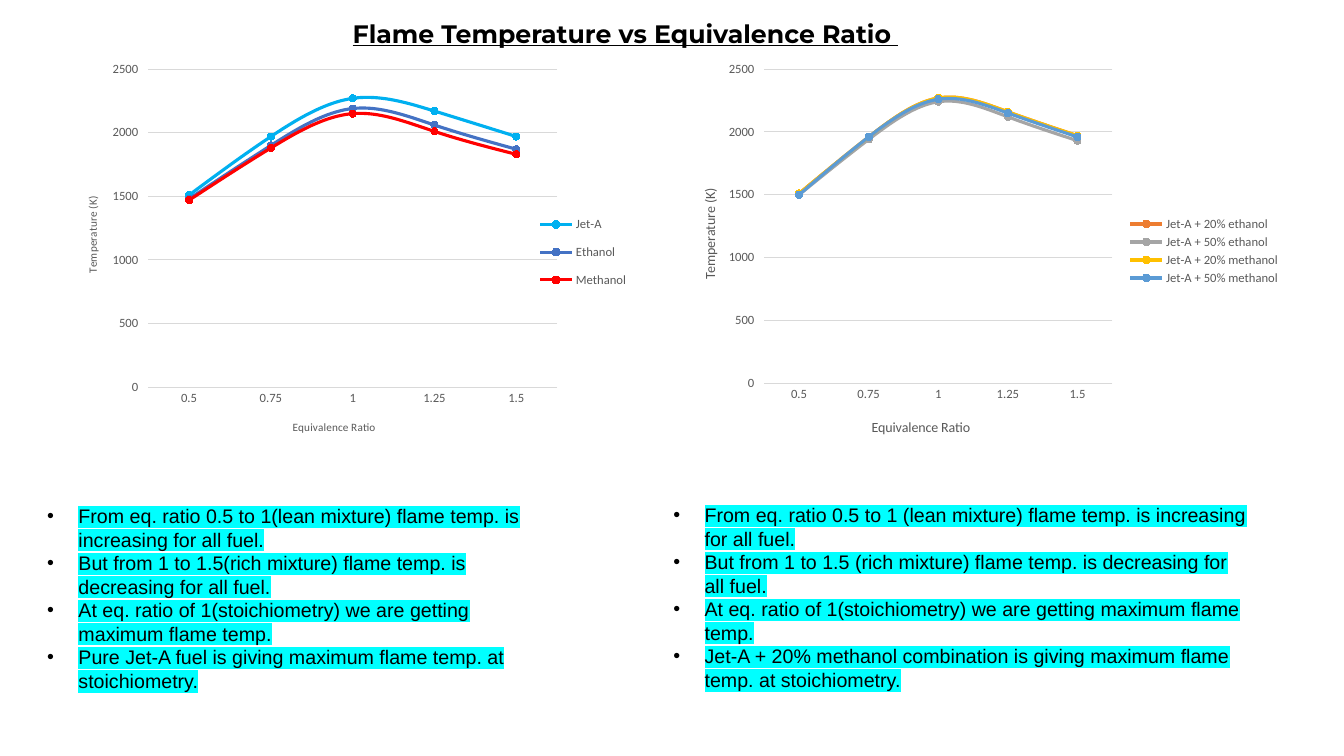
import pptx
import pptx.chart.data
import pptx.dml.color
import pptx.enum.chart
import pptx.enum.text
import pptx.oxml
import pptx.oxml.ns
import pptx.util
from lxml import etree

WIDTH, HEIGHT = 13.33, 7.5
TITLE = "Flame Temperature vs Equivalence Ratio "
TITLE_BOX = (3.4, 0.13, 6.37, 0.71)
RATIOS = ["0.5", "0.75", "1", "1.25", "1.5"]
CHART_TOP, CHART_WIDTH, CHART_HEIGHT = 0.54, 6.11, 3.94
GREY, PALE = "595959", "D9D9D9"

PANELS = [
    {
        "chart_left": 0.56,
        "title_size": 8,
        "series": [
            ("Jet-A", "00B0F0", [1510, 1970, 2270, 2170, 1970]),
            ("Ethanol", "4472C4", [1480, 1900, 2190, 2060, 1870]),
            ("Methanol", "FF0000", [1470, 1880, 2150, 2010, 1830]),
        ],
        "plot": (14.9, 3.7, 66.4, 80.1),
        "legend": (77.5, 37.7, 16, 24.2),
        "ratio_title": (38, 91.5),
        "temperature_title": (4.3, 35.2),
        "notes_box": (0.37, 4.95, 5.18, 1.99),
        "notes": [
            "From eq. ratio 0.5 to 1(lean mixture) flame temp. is increasing for all fuel.",
            "But from 1 to 1.5(rich mixture) flame temp. is decreasing for all fuel.",
            "At eq. ratio of 1(stoichiometry) we are getting maximum flame temp.",
            "Pure Jet-A fuel is giving maximum flame temp. at stoichiometry.",
        ],
    },
    {
        "chart_left": 6.67,
        "title_size": 10,
        "series": [
            ("Jet-A + 20% ethanol", "ED7D31", [1510, 1960, 2270, 2160, 1970]),
            ("Jet-A + 50% ethanol", "A5A5A5", [1500, 1940, 2240, 2120, 1930]),
            ("Jet-A + 20% methanol", "FFC000", [1510, 1960, 2270, 2160, 1970]),
            ("Jet-A + 50% methanol", "5B9BD5", [1500, 1960, 2260, 2150, 1960]),
        ],
        "plot": (14.9, 3.7, 56.5, 79.1),
        "legend": (73.3, 40, 26, 19),
        "ratio_title": (31.9, 91),
        "temperature_title": (4.2, 33.1),
        "notes_box": (6.58, 4.94, 5.91, 1.99),
        "notes": [
            "From eq. ratio 0.5 to 1 (lean mixture) flame temp. is increasing for all fuel.",
            "But from 1 to 1.5 (rich mixture) flame temp. is decreasing for all fuel.",
            "At eq. ratio of 1(stoichiometry) we are getting maximum flame temp.",
            "Jet-A + 20% methanol combination is giving maximum flame temp. at stoichiometry.",
        ],
    },
]


def color(value):
    return pptx.dml.color.RGBColor.from_string(value)


def inches(values):
    return [pptx.util.Inches(value) for value in values]


def set_font(font, name, size, value, bold=False):
    font.name = name
    font.size = pptx.util.Pt(size)
    font.bold = bold
    font.color.rgb = color(value)


def set_line(line, value, width):
    line.color.rgb = color(value)
    line.width = pptx.util.Pt(width)


def place(parent, index, percents, inner=False):
    tag = pptx.oxml.ns.qn
    for old in parent.findall(tag("c:layout")):
        parent.remove(old)
    layout = etree.Element(tag("c:layout"))
    manual = etree.SubElement(layout, tag("c:manualLayout"))
    settings = [("layoutTarget", "inner")] if inner else []
    settings += [("xMode", "edge"), ("yMode", "edge")]
    settings += [(key, f"{share / 100:.3f}") for key, share in zip("xywh", percents)]
    for key, value in settings:
        etree.SubElement(manual, tag("c:" + key)).set("val", value)
    parent.insert(index, layout)


def add_text(slide, box, lines):
    text_frame = slide.shapes.add_textbox(*inches(box)).text_frame
    text_frame.word_wrap = True
    text_frame.auto_size = pptx.enum.text.MSO_AUTO_SIZE.SHAPE_TO_FIT_TEXT
    text_frame.text = "\n".join(lines)
    return text_frame


def add_notes(slide, panel):
    tag = pptx.oxml.ns.qn
    for paragraph in add_text(slide, panel["notes_box"], panel["notes"]).paragraphs:
        properties = paragraph._p.get_or_add_pPr()
        indent = pptx.util.Inches(0.31)
        properties.set("marL", str(indent))
        properties.set("indent", str(-indent))
        etree.SubElement(properties, tag("a:buFont")).set("typeface", "Arial")
        etree.SubElement(properties, tag("a:buChar")).set("char", "•")
        for run in paragraph.runs:
            set_font(run.font, "Arial", 14, "000000")
            highlight = etree.Element(tag("a:highlight"))
            etree.SubElement(highlight, tag("a:srgbClr")).set("val", "00FFFF")
            run._r.rPr.find(tag("a:solidFill")).addnext(highlight)


def style_axis(axis, title, size, position):
    set_font(axis.tick_labels.font, "Calibri", 9, GREY)
    text_frame = axis.axis_title.text_frame
    text_frame.text = title
    set_font(text_frame.paragraphs[0].runs[0].font, "Calibri", size, GREY)
    place(axis.axis_title._element, 1, position)
    return text_frame


def add_temperature_chart(slide, panel):
    data = pptx.chart.data.CategoryChartData()
    data.categories = RATIOS
    for name, _, temperatures in panel["series"]:
        data.add_series(name, temperatures)
    box = (panel["chart_left"], CHART_TOP, CHART_WIDTH, CHART_HEIGHT)
    chart = slide.shapes.add_chart(
        pptx.enum.chart.XL_CHART_TYPE.LINE_MARKERS, *inches(box), data).chart
    set_font(chart.font, "Calibri", 10, "000000")
    chart.has_title = False
    chart.plots[0].vary_by_categories = False
    for series, (_, value, _) in zip(chart.plots[0].series, panel["series"]):
        series.smooth = True
        set_line(series.format.line, value, 2.25)
        marker = series.marker
        marker.style = pptx.enum.chart.XL_MARKER_STYLE.CIRCLE
        marker.size = 5
        marker.format.fill.solid()
        marker.format.fill.fore_color.rgb = color(value)
        set_line(marker.format.line, value, 0.75)

    ratio_axis, temperature_axis = chart.category_axis, chart.value_axis
    size = panel["title_size"]
    style_axis(ratio_axis, "Equivalence Ratio", size, panel["ratio_title"])
    ratio_axis.major_tick_mark = pptx.enum.chart.XL_TICK_MARK.NONE
    set_line(ratio_axis.format.line, PALE, 0.75)
    text_frame = style_axis(
        temperature_axis, "Temperature (K)", size, panel["temperature_title"])
    text_frame._txBody.bodyPr.set("rot", "-5400000")
    text_frame._txBody.bodyPr.set("vert", "horz")
    temperature_axis.minimum_scale = 0
    temperature_axis.maximum_scale = 2500
    temperature_axis.major_unit = 500
    temperature_axis.major_tick_mark = pptx.enum.chart.XL_TICK_MARK.OUTSIDE
    temperature_axis.format.line.fill.background()
    set_line(temperature_axis.major_gridlines.format.line, PALE, 0.75)

    chart.has_legend = True
    chart.legend.position = pptx.enum.chart.XL_LEGEND_POSITION.RIGHT
    chart.legend.include_in_layout = False
    set_font(chart.legend.font, "Calibri", 9, GREY)
    place(chart.legend._element, 1, panel["legend"])
    place(chart._chartSpace.chart.plotArea, 0, panel["plot"], inner=True)


def main():
    """Build the flame temperature slide and save it."""
    presentation = pptx.Presentation()
    presentation.slide_width, presentation.slide_height = inches((WIDTH, HEIGHT))
    slide = presentation.slides.add_slide(presentation.slide_layouts[6])
    heading = add_text(slide, TITLE_BOX, [TITLE]).paragraphs[0].runs[0]
    set_font(heading.font, "Montserrat", 18, "000000", bold=True)
    heading.font.underline = True
    for panel in PANELS:
        add_temperature_chart(slide, panel)
    for panel in PANELS:
        add_notes(slide, panel)
    presentation.save("out.pptx")


if __name__ == "__main__":
    main()
